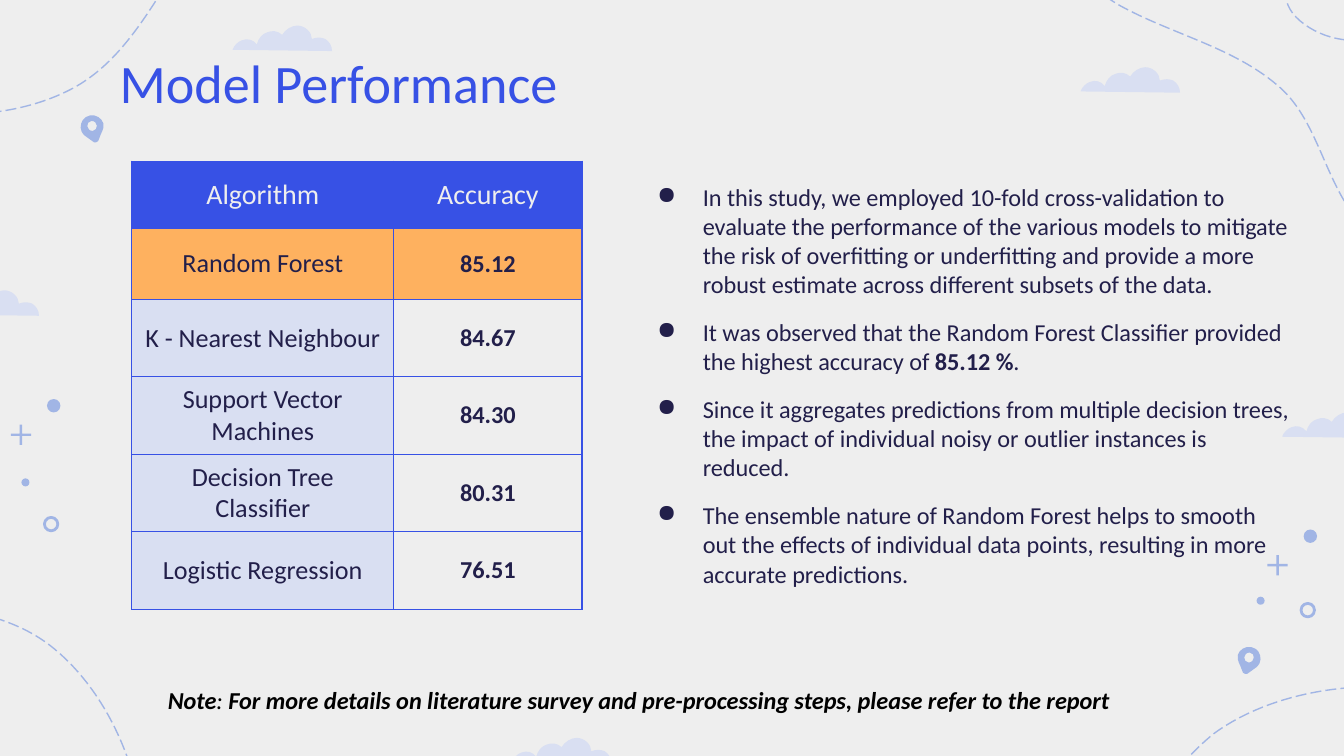
from pptx import Presentation
from pptx.dml.color import RGBColor
from pptx.enum.dml import MSO_LINE
from pptx.enum.shapes import MSO_SHAPE
from pptx.enum.text import MSO_ANCHOR, MSO_AUTO_SIZE, PP_ALIGN
from pptx.oxml import parse_xml
from pptx.oxml.ns import nsdecls, qn
from pptx.util import Pt

FONT = "Calibri"
COLORS = {
    "paper": "EEEEEE", "blue": "3751E5", "mist": "D9DFF2", "sky": "A1B5E5",
    "navy": "221F4A", "orange": "FEB15F", "black": "000000",
}

# Outlines in points: six numbers are a Bezier curve, two a straight line
CLOUD = [[
    (34.6, 0), (31.7, 0, 28.1, 2.2, 26.6, 5), (24.3, 2.7, 21, 2.6, 18.7, 3.6),
    (15.8, 4.3, 13.7, 7.2, 13, 10.1), (11, 7.5, 8, 6.7, 5, 7.9),
    (2.9, 8.6, 0.7, 10.8, 0, 13), (53.3, 13.7), (53.3, 10.8, 51.8, 8.6, 49.7, 7.2),
    (47.5, 6.2, 45, 6.2, 42.5, 7.2), (42.5, 3.6, 38.9, 0, 34.6, 0),
]]
PIN = [
    [(5.8, 2.9), (9.5, 2.9, 9.6, 7.9, 6.5, 8.3), (3, 8.3, 2.5, 3.3, 5.8, 2.9)],
    [(5, 0), (1.4, 0.7, 0, 3.6, 0, 6.5), (0, 7.9, 0.7, 9.4, 2.2, 10.8), (7.2, 14.4),
     (7.9, 14.6, 8.6, 14.4, 9.4, 13.7), (10.8, 10.1),
     (12.2, 7.2, 12.5, 5.8, 12.2, 4.3), (11.5, 1.4, 7.9, -0.7, 5, 0)],
]
TRAILS = [
    [(546.5, -75.6), (550.8, -43.9, 572.4, -13, 599.8, 2.9),
     (627.1, 18, 660.2, 25.2, 684, 45.4), (704.2, 61.9, 708.5, 91.4, 723.6, 113),
     (739.4, 135.4, 766.1, 151.9, 792, 160.6)],
    [(736.6, 19.4), (722.2, 25.2, 702, 18.7, 692.6, 7.2),
     (684.7, -3.6, 687.6, -20.2, 681.8, -32.4)],
    [(69.8, 496.8), (89.3, 447.8, 68.4, 378.7, 27.4, 346.3),
     (-10.1, 316.8, -67, 328.3, -109.4, 306.7)],
    [(406.1, 526.3), (421.2, 496.1, 453.6, 470.9, 486.7, 464.4),
     (519.8, 457.9, 555.8, 461.5, 587.5, 449.3),
     (613.4, 438.5, 627.8, 411.1, 650.2, 393.1),
     (673.9, 375.8, 706.3, 367.9, 736.6, 367.9)],
    [(-117.4, 25.2), (-81.4, 62.6, -9.4, 72, 37.4, 48.2),
     (79.9, 26.6, 92.9, -30.2, 129.6, -60.5)],
]

RESULTS = [
    ("Algorithm", "Accuracy"), ("Random Forest", "85.12"),
    ("K - Nearest Neighbour", "84.67"), ("Support Vector Machines", "84.30"),
    ("Decision Tree Classifier", "80.31"), ("Logistic Regression", "76.51"),
]
# Each finding is a list of (text, bold) spans
FINDINGS = [
    [("In this study, we employed 10-fold cross-validation to evaluate the performance of "
      "the various models to mitigate the risk of overfitting or underfitting and provide "
      "a more robust estimate across different subsets of the data.", False)],
    [("It was observed that the Random Forest Classifier provided the highest accuracy of ",
      False), ("85.12 %", True), (".", False)],
    [("Since it aggregates predictions from multiple decision trees, the impact of "
      "individual noisy or outlier instances is reduced.", False)],
    [("The ensemble nature of Random Forest helps to smooth out the effects of individual "
      "data points, resulting in more accurate predictions.", False)],
]


def rgb(name):
    return RGBColor.from_string(COLORS[name])


def add_text(para, text, size=13, color="navy", bold=False, italic=False):
    span = para.add_run()
    span.text = text
    font = span.font
    font.name, font.size, font.bold, font.italic = FONT, Pt(size), bold, italic
    font.color.rgb = rgb(color)


def set_frame(frame, anchor=MSO_ANCHOR.TOP):
    frame.word_wrap = True
    frame.auto_size = MSO_AUTO_SIZE.NONE
    frame.vertical_anchor = anchor
    frame.margin_left = frame.margin_right = Pt(7.2)
    frame.margin_top = frame.margin_bottom = Pt(7.2)


def paint(shape, fill=None, line=None, width=0.75):
    shape.shadow.inherit = False
    if fill:
        shape.fill.solid()
        shape.fill.fore_color.rgb = rgb(fill)
    else:
        shape.fill.background()
    if line:
        shape.line.color.rgb = rgb(line)
        shape.line.width = Pt(width)
    else:
        shape.line.fill.background()


def add_outline(page, contours, left=0, top=0, mirror=None, close=True):
    """Draw contours at left, top; mirror is the width to flip within."""
    builder = None
    for contour in contours:
        points = [(Pt(left + (x if mirror is None else mirror - x)), Pt(top + y))
                  for piece in contour for x, y in zip(piece[::2], piece[1::2])]
        if builder is None:
            builder = page.shapes.build_freeform(*points[0], scale=1.0)
        else:
            builder.move_to(*points[0])
        builder.add_line_segments(points[1:], close=close)
    shape = builder.convert_to_shape()

    # Join each three lines that hold one curve's points
    outline = shape._element.find(".//" + qn("a:path"))
    starts = outline.findall(qn("a:moveTo"))
    for start, contour in zip(starts, contours):
        line = start.getnext()
        for piece in contour[1:]:
            following = line.getnext()
            if len(piece) == 6:
                curve = parse_xml(f'<a:cubicBezTo {nsdecls("a")}/>')
                line.addprevious(curve)
                for _ in range(3):
                    following = line.getnext()
                    curve.append(line[0])
                    outline.remove(line)
                    line = following
            line = following
    return shape


def add_sparkles(page, plus, ring, dot, speck):
    marks = [(MSO_SHAPE.CROSS, plus, 10.8), (MSO_SHAPE.OVAL, ring, 7.2),
             (MSO_SHAPE.OVAL, dot, 7.2), (MSO_SHAPE.OVAL, speck, 4.3)]
    for kind, (left, top), size in marks:
        mark = page.shapes.add_shape(kind, Pt(left), Pt(top), Pt(size), Pt(size))
        if kind == MSO_SHAPE.CROSS:
            mark.adjustments[0] = 0.44
        if (left, top) == ring:
            paint(mark, line="sky", width=1.5)
        else:
            paint(mark, fill="sky")


def add_backdrop(page):
    page.background.fill.solid()
    page.background.fill.fore_color.rgb = rgb("paper")
    for trail in TRAILS:
        curve = add_outline(page, [trail], close=False)
        paint(curve, line="sky")
        curve.line.dash_style = MSO_LINE.LONG_DASH
    for left, top in [(686.9, 221), (-32.4, 155.5), (124.6, 13.7), (274.3, 395.3), (578.9, 36)]:
        paint(add_outline(page, CLOUD, left, top), fill="mist")
    paint(add_outline(page, PIN, 43.2, 61.9), fill="sky")
    paint(add_outline(page, PIN, 663.1, 346.7, mirror=12.2), fill="sky")
    add_sparkles(page, (679, 297.4), (697, 323.3), (698.4, 283.7), (673.2, 319.7))
    add_sparkles(page, (5.8, 227.5), (23.8, 277.2), (25.2, 213.8), (11.5, 256.3))


def add_title(page, left, top, width, height):
    title = page.shapes.title
    title.left, title.top, title.width, title.height = map(Pt, (left, top, width, height))
    set_frame(title.text_frame)
    para = title.text_frame.paragraphs[0]
    para.alignment = PP_ALIGN.LEFT
    add_text(para, "Model Performance", size=29, color="blue")


def add_borders(cell):
    properties = cell._tc.get_or_add_tcPr()
    for index, side in enumerate("LRTB"):
        properties.insert(index, parse_xml(
            f'<a:ln{side} {nsdecls("a")} w="{Pt(0.75)}"><a:solidFill>'
            f'<a:srgbClr val="{COLORS["blue"]}"/></a:solidFill></a:ln{side}>'))


def add_results(page, left, top, width, height):
    table = page.shapes.add_table(len(RESULTS), 2, Pt(left), Pt(top), Pt(width), Pt(height)).table
    table.first_row = table.horz_banding = False
    table.columns[0].width, table.columns[1].width = Pt(140.4), Pt(width - 140.4)
    body_height = (height - 36 - 38) / (len(RESULTS) - 2)
    for row, texts in enumerate(RESULTS):
        table.rows[row].height = Pt({0: 36, 1: 38}.get(row, body_height))
        for column, text in enumerate(texts):
            cell = table.cell(row, column)
            fill = {0: "blue", 1: "orange"}.get(row, "paper" if column else "mist")
            cell.fill.solid()
            cell.fill.fore_color.rgb = rgb(fill)
            add_borders(cell)
            cell.vertical_anchor = MSO_ANCHOR.MIDDLE
            cell.margin_left = cell.margin_right = Pt(7.2)
            cell.margin_top = cell.margin_bottom = Pt(5 if row == 0 else 7.2 * column)
            para = cell.text_frame.paragraphs[0]
            para.alignment = PP_ALIGN.CENTER
            if row == 0:
                add_text(para, text, size=15, color="paper")
            else:
                add_text(para, text, size=14 - column, bold=column == 1)


def add_findings(page, left, top, width, height):
    frame = page.shapes.add_textbox(Pt(left), Pt(top), Pt(width), Pt(height)).text_frame
    set_frame(frame, MSO_ANCHOR.MIDDLE)
    for index, spans in enumerate(FINDINGS):
        para = frame.add_paragraph() if index else frame.paragraphs[0]
        para.space_before = Pt(10 if index else 0)
        para.space_after = Pt(10 if index == len(FINDINGS) - 1 else 0)
        properties = para._p.get_or_add_pPr()
        properties.set("marL", str(Pt(36)))
        properties.set("indent", str(Pt(-24.5)))
        for bullet in (f'<a:buClr {nsdecls("a")}><a:srgbClr val="{COLORS["navy"]}"/></a:buClr>',
                       f'<a:buChar {nsdecls("a")} char="●"/>'):
            properties.append(parse_xml(bullet))
        for text, bold in spans:
            add_text(para, text, bold=bold)


def add_note(page, left, top, width, height):
    frame = page.shapes.add_textbox(Pt(left), Pt(top), Pt(width), Pt(height)).text_frame
    set_frame(frame)
    for text, bold in [("Note", True), (": ", False),
                       ("For more details on literature survey and pre-processing steps, "
                        "please refer to the report", True)]:
        add_text(frame.paragraphs[0], text, color="black", bold=bold, italic=True)


def main():
    deck = Presentation()
    deck.slide_width, deck.slide_height = Pt(720), Pt(405)
    page = deck.slides.add_slide(deck.slide_layouts[5])
    add_backdrop(page)
    add_title(page, 56.9, 19.4, 607, 45.4)
    add_results(page, 70.6, 86.4, 241.2, 240)
    add_findings(page, 333.4, 86.4, 366.5, 239.8)
    add_note(page, 82.8, 360, 637.2, 30.2)
    deck.save("out.pptx")


if __name__ == "__main__":
    main()
